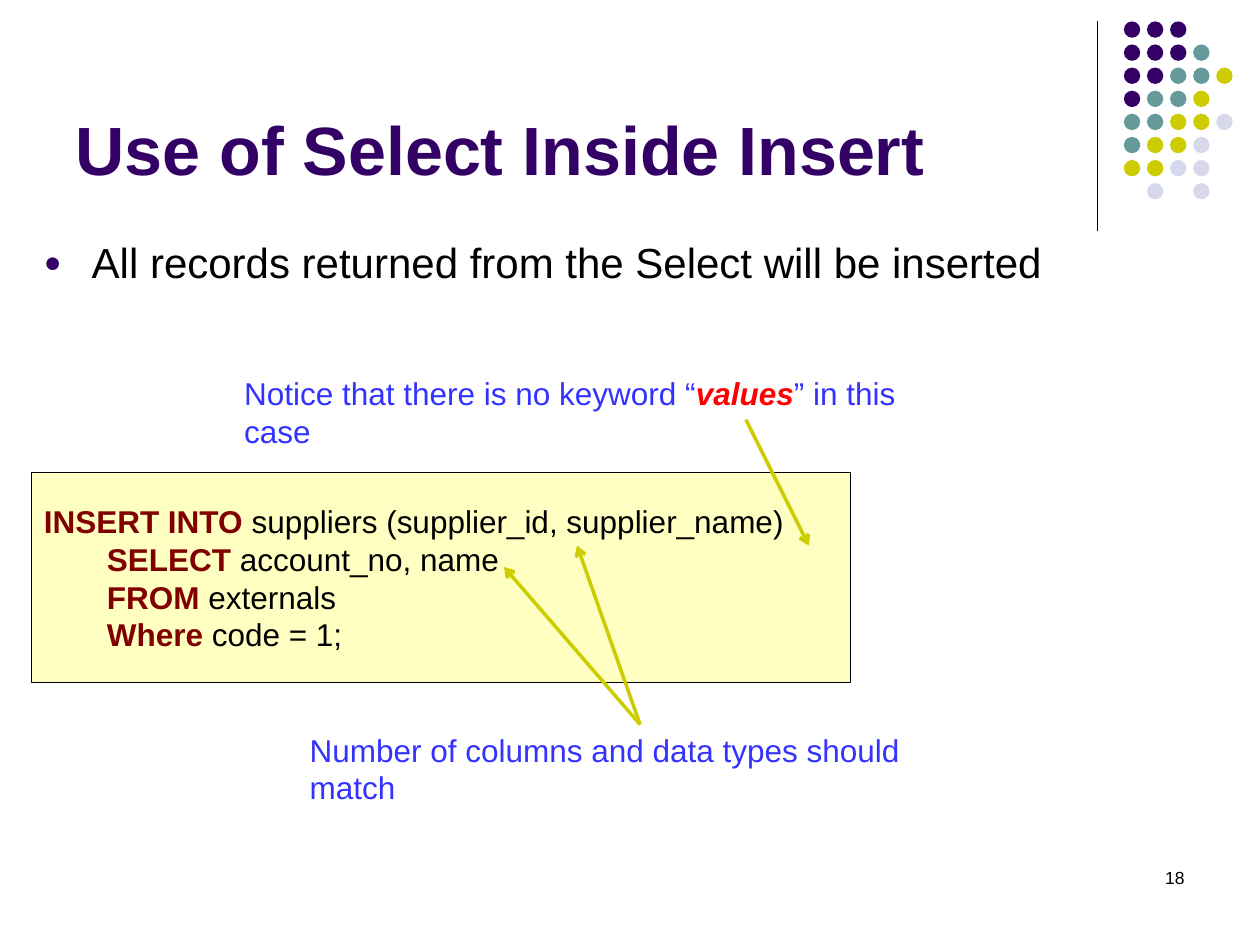
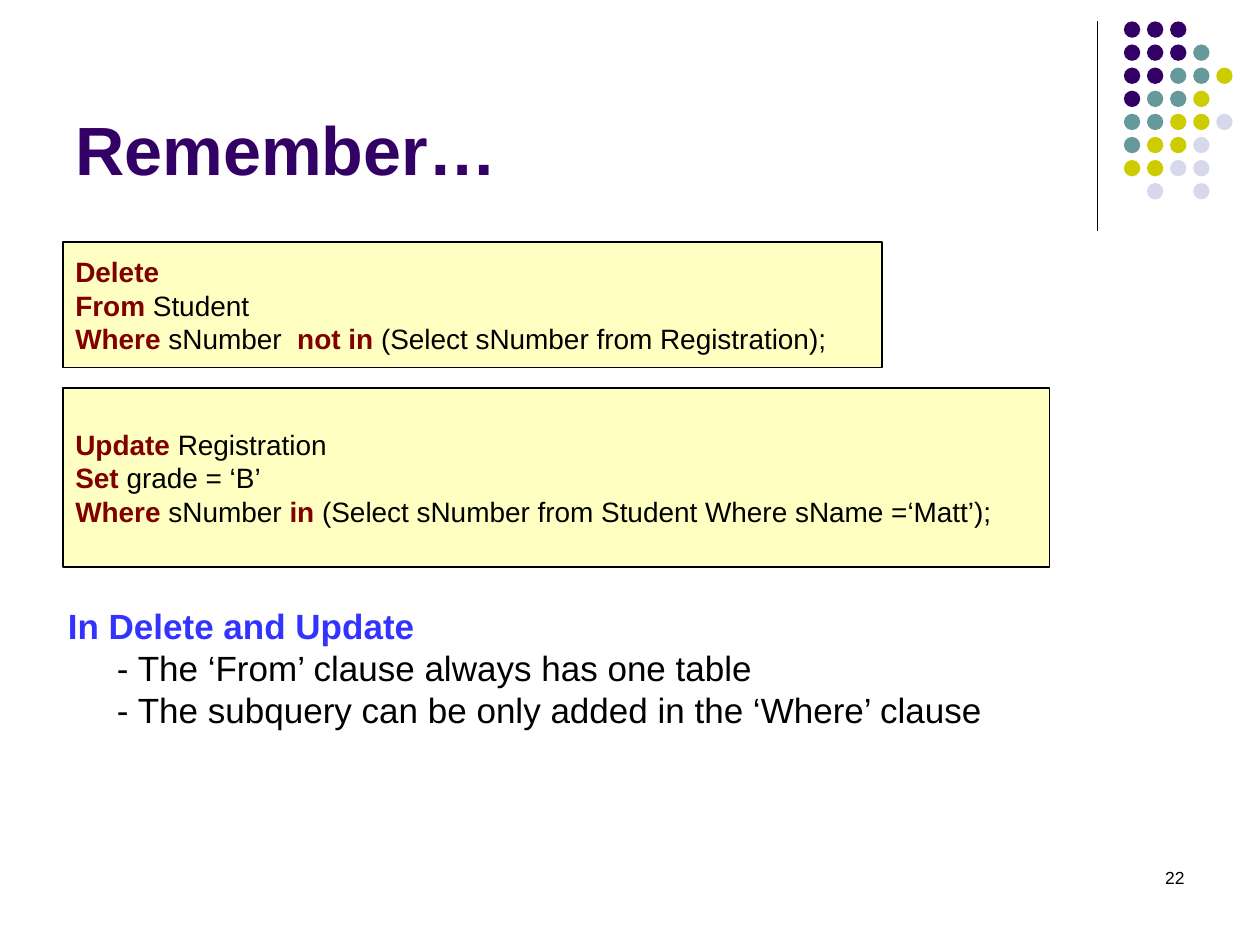
from dataclasses import dataclass

from lxml import etree
from pptx import Presentation
from pptx import util as u
from pptx.dml.color import RGBColor
from pptx.enum import shapes, text
from pptx.oxml import ns


@dataclass(frozen=True)
class Theme:
    font: str = "Arial"
    purple: str = "330066"
    teal: str = "669999"
    olive: str = "CCCC00"
    lavender: str = "D8D8EC"
    black: str = "000000"
    white: str = "FFFFFF"
    cream: str = "FFFFC2"
    maroon: str = "800000"
    blue: str = "3333FF"
    red: str = "FF0000"
    title: int = 39
    bullet: int = 24
    summary: int = 20
    code: int = 18
    small_code: int = 16
    number: int = 10


THEME = Theme()

# Span styles: colour, bold, italic
STYLES = {
    "title": (THEME.purple, True, False),
    "plain": (THEME.black, False, False),
    "keyword": (THEME.maroon, True, False),
    "note": (THEME.blue, False, False),
    "heading": (THEME.blue, True, False),
    "warning": (THEME.red, True, True),
}

# Content: a line is (indent, [(text, style), ...]); a box is (left, top, width, height)
BULLET = "All records returned from the Select will be inserted"
INSERT_CODE = [
    (0, [("INSERT INTO ", "keyword"), ("suppliers (supplier_id, supplier_name)", "plain")]),
    (0.5, [("SELECT ", "keyword"), ("account_no, name", "plain")]),
    (0.5, [("FROM ", "keyword"), ("externals", "plain")]),
    (0.5, [("Where ", "keyword"), ("code = 1;", "plain")]),
]
# Each note: box, spans, arrows as (from, to)
INSERT_NOTES = [
    ((1.84, 2.92, 5.96, 0.4),
     [("Notice that there is no keyword “", "note"), ("values", "warning"),
      ("” in this case", "note")],
     [((5.92, 3.33), (6.42, 4.33))]),
    ((2.36, 5.75, 5.63, 0.4),
     [("Number of columns and data types should match", "note")],
     [((5.08, 5.75), (4, 4.5)), ((5.08, 5.75), (4.58, 4.33))]),
]
REMEMBER_CODE = [
    ((0.5, 1.92, 6.5, 1), [
        (0, [("Delete", "keyword")]),
        (0, [("From ", "keyword"), ("Student", "plain")]),
        (0, [("Where ", "keyword"), ("sNumber ", "plain"), (" not in ", "keyword"),
             ("(Select sNumber from Registration);", "plain")]),
    ]),
    ((0.5, 3.08, 7.83, 1.42), [
        (0, [("Update ", "keyword"), ("Registration", "plain")]),
        (0, [("Set ", "keyword"), ("grade = ‘B’", "plain")]),
        (0, [("Where ", "keyword"), ("sNumber ", "plain"), ("in ", "keyword"),
             ("(Select sNumber from Student Where sName =‘Matt’);", "plain")]),
    ]),
]
SUMMARY = [
    (0, [("In Delete and Update", "heading")]),
    (0.39, [("- The ‘From’ clause always has one table", "plain")]),
    (0.39, [("- The subquery can be only added in the ‘Where’ clause", "plain")]),
]

# Corner dots, one letter per colour
DOT_ROWS = ["PPP", "PPPT", "PPTTO", "PTTO", "TTOOL", "TOOL", "OOLL", " L L"]
DOT_COLOURS = {"P": THEME.purple, "T": THEME.teal, "O": THEME.olive, "L": THEME.lavender}
DOT_LEFT, DOT_TOP, DOT_SIZE = 8.92, 0.17, 0.13
DOT_PITCH = 1.1 / 6


def rgb(colour):
    return RGBColor.from_string(colour)


def inches(values):
    return [u.Inches(value) for value in values]


def write(shape, lines, size, anchor=text.MSO_ANCHOR.TOP, align=text.PP_ALIGN.LEFT, wrap=True):
    frame = shape.text_frame
    frame.word_wrap = wrap
    frame.vertical_anchor = anchor
    for index, (indent, spans) in enumerate(lines):
        para = frame.add_paragraph() if index else frame.paragraphs[0]
        para.alignment = align
        para.font.name = THEME.font
        para.font.size = u.Pt(size)
        if indent:
            para._p.get_or_add_pPr().set("marL", str(u.Inches(indent)))
        for words, style in spans:
            span = para.add_run()
            span.text = words
            colour, span.font.bold, span.font.italic = STYLES[style]
            span.font.color.rgb = rgb(colour)


def add_text(page, box, lines, size, **options):
    shape = page.shapes.add_textbox(*inches(box))
    write(shape, lines, size, **options)
    return shape


def add_filled(parent, kind, box, fill, outline=None):
    shape = parent.shapes.add_shape(kind, *inches(box))
    shape.shadow.inherit = False
    shape.fill.solid()
    shape.fill.fore_color.rgb = rgb(fill)
    if outline:
        shape.line.color.rgb = rgb(outline)
        shape.line.width = u.Pt(0.75)
    else:
        shape.line.fill.background()
    return shape


def add_code(page, box, lines, size):
    panel = add_filled(page, shapes.MSO_SHAPE.RECTANGLE, box, THEME.cream, THEME.black)
    write(panel, lines, size, anchor=text.MSO_ANCHOR.MIDDLE)


def add_line(parent, start, end, colour, width, arrow=False):
    line = parent.shapes.add_connector(
        shapes.MSO_CONNECTOR.STRAIGHT, *inches(start + end))
    line.line.color.rgb = rgb(colour)
    line.line.width = u.Pt(width)
    if arrow:
        etree.SubElement(line.line._get_or_add_ln(), ns.qn("a:tailEnd"), type="arrow")
    etree.SubElement(line._element.spPr, ns.qn("a:effectLst"))


def add_bullet(para):
    para.space_before = u.Pt(6)
    props = para._p.get_or_add_pPr()
    props.set("marL", str(u.Inches(0.38)))
    props.set("indent", str(u.Inches(-0.38)))
    colour = etree.SubElement(props, ns.qn("a:buClr"))
    etree.SubElement(colour, ns.qn("a:srgbClr"), val=THEME.purple)
    etree.SubElement(props, ns.qn("a:buSzPct"), val="70000")
    etree.SubElement(props, ns.qn("a:buFont"), typeface=THEME.font)
    etree.SubElement(props, ns.qn("a:buChar"), char="●")
    # Bullet settings must come before the default run settings
    defaults = props.find(ns.qn("a:defRPr"))
    if defaults is not None:
        props.append(defaults)


def add_page(deck, title, number):
    page = deck.slides.add_slide(deck.slide_layouts[6])
    # Corner rule and dots
    add_line(page, (8.71, 0.17), (8.71, 1.83), THEME.black, 0.75)
    dots = page.shapes.add_group_shape()
    for row, letters in enumerate(DOT_ROWS):
        for column, letter in enumerate(letters):
            if letter in DOT_COLOURS:
                box = (DOT_LEFT + column * DOT_PITCH, DOT_TOP + row * DOT_PITCH,
                       DOT_SIZE, DOT_SIZE)
                add_filled(dots, shapes.MSO_SHAPE.OVAL, box, DOT_COLOURS[letter])
    # Title and page number
    add_text(page, (0.5, 0.13, 8.25, 1.42), [(0, [(title, "title")])], THEME.title,
             anchor=text.MSO_ANCHOR.BOTTOM)
    add_text(page, (7.17, 6.83, 2.33, 0.5), [(0, [(str(number), "plain")])], THEME.number,
             align=text.PP_ALIGN.RIGHT)
    return page


def build_insert(deck):
    page = add_page(deck, "Use of Select Inside Insert", 18)
    bullet = add_text(page, (0.25, 1.83, 9, 0.83), [(0, [(BULLET, "plain")])], THEME.bullet)
    add_bullet(bullet.text_frame.paragraphs[0])
    add_code(page, (0.25, 3.75, 6.5, 1.67), INSERT_CODE, THEME.code)
    # Notes with arrows into the code
    for box, spans, arrows in INSERT_NOTES:
        for start, end in arrows:
            add_line(page, start, end, THEME.olive, 2, arrow=True)
        add_text(page, box, [(0, spans)], THEME.code, wrap=False)


def build_remember(deck):
    page = add_page(deck, "Remember…", 22)
    for box, lines in REMEMBER_CODE:
        add_code(page, box, lines, THEME.small_code)
    summary = add_filled(page, shapes.MSO_SHAPE.RECTANGLE, (0.44, 4.75, 7.47, 1.1), THEME.white)
    write(summary, SUMMARY, THEME.summary, wrap=False)


def main():
    deck = Presentation()
    deck.slide_width, deck.slide_height = inches((10, 7.5))
    build_insert(deck)
    build_remember(deck)
    deck.save("out.pptx")


if __name__ == "__main__":
    main()
